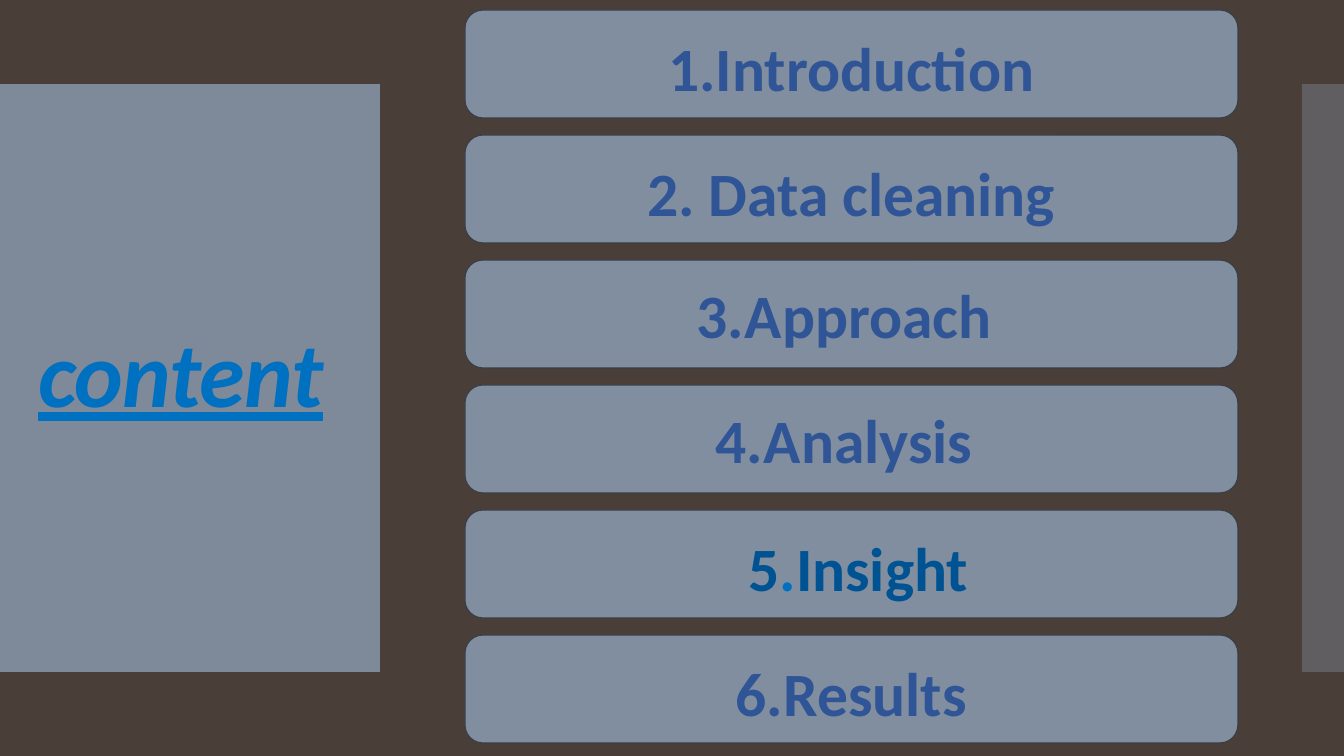
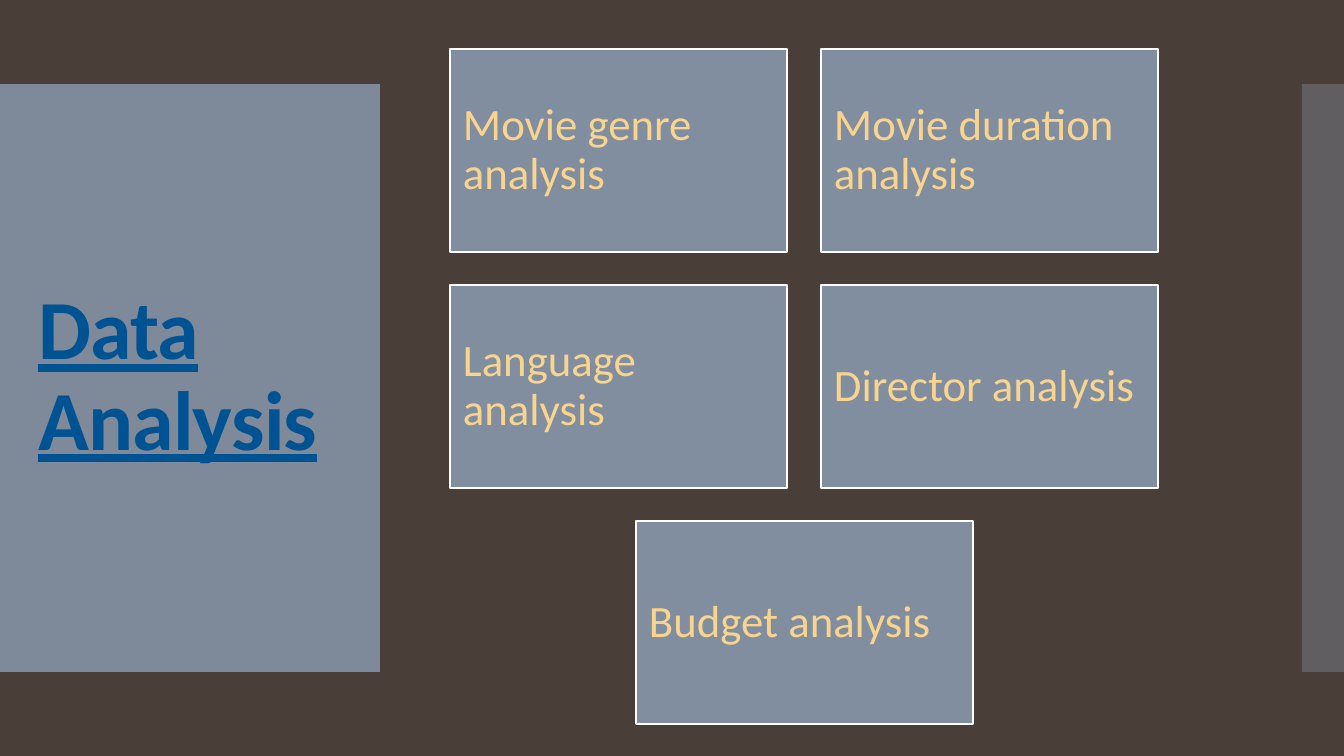
from lxml import etree
from pptx import Presentation
from pptx import util as u
from pptx.dml import color
from pptx.enum import shapes, text
from pptx.oxml import ns

# Palette
BROWN, SLATE, CHARCOAL, WHITE = "4A3F38", "818E9F", "393E46", "FFFFFF"
SKY, NAVY, INDIGO, SAND = "0070C0", "005392", "2F5597", "F8D48E"


def px(length):
    return u.Emu(round(length * 914400 / 100.8))


def rgb(value):
    return color.RGBColor.from_string(value)


class Deck:
    """Shared style and the slide being built."""

    bands = [((0, 84, 380, 588), 95), ((1302, 84, 42, 588), 40)]
    title_place = (28, 124, 325, 507)
    title_format = {"bold": True, "underline": True}
    item_format = {"size": u.Pt(44), "bold": True}
    tile_format = {"size": u.Pt(32), "bold": False}

    def __init__(self):
        self.prs = Presentation()
        self.prs.slide_width, self.prs.slide_height = px(1344), px(756)
        self.fill(self.prs.slide_master.background, BROWN)
        self.slide = None

    def fill(self, target, value):
        target.fill.solid()
        target.fill.fore_color.rgb = rgb(value)

    def add_runs(self, paragraph, runs, formats):
        """Add (text, colour) runs to a paragraph in one format."""
        for words, value in runs:
            run = paragraph.add_run()
            run.text = words
            run.font.name = "Calibri"
            run.font.color.rgb = rgb(value)
            for name, setting in formats.items():
                setattr(run.font, name, setting)

    def box(self, preset, place, line=None):
        shape = self.slide.shapes.add_shape(preset, *map(px, place))
        shape.shadow.inherit = False
        self.fill(shape, SLATE)
        if line:
            shape.line.color.rgb = rgb(line)
            shape.line.width = u.Pt(0.85)
        else:
            shape.line.fill.background()
        return shape

    def band(self, place, opacity):
        band = self.box(shapes.MSO_SHAPE.RECTANGLE, place)
        solid = band.element.spPr.find(ns.qn("a:solidFill"))
        etree.SubElement(solid[0], ns.qn("a:alpha"), val=str(opacity * 1000))

    def new_slide(self, heading, value, **formats):
        self.slide = self.prs.slides.add_slide(self.prs.slide_layouts[5])
        for place, opacity in self.bands:
            self.band(place, opacity)
        title = self.slide.shapes.title
        self.slide.shapes.element.append(title.element)  # above the bands
        title.left, title.top, title.width, title.height = map(px, self.title_place)
        frame = title.text_frame
        frame.auto_size = text.MSO_AUTO_SIZE.NONE
        frame.vertical_anchor = text.MSO_ANCHOR.MIDDLE
        paragraph = frame.paragraphs[0]
        paragraph.alignment = text.PP_ALIGN.LEFT
        paragraph.line_spacing = 0.9
        self.add_runs(paragraph, [(heading, value)], {**self.title_format, **formats})
        paragraph.runs[0]._r.get_or_add_rPr().set("spc", "-60")

    def item(self, place, runs, spaced=True, numbered=False):
        """Rounded agenda entry with centred text."""
        shape = self.box(shapes.MSO_SHAPE.ROUNDED_RECTANGLE, place, CHARCOAL)
        shape.text_frame.vertical_anchor = text.MSO_ANCHOR.MIDDLE
        paragraph = shape.text_frame.paragraphs[0]
        paragraph.alignment = text.PP_ALIGN.CENTER
        if spaced:
            paragraph.line_spacing = 1.07
            paragraph.space_after = u.Pt(8)
        if numbered:
            props = paragraph._p.get_or_add_pPr()
            props.set("marL", str(px(38)))
            props.set("indent", str(-px(38)))
            etree.SubElement(props, ns.qn("a:buAutoNum"), type="arabicPeriod")
        self.add_runs(paragraph, runs, self.item_format)

    def tile(self, place, words):
        """Square-cornered topic tile with text on the left."""
        shape = self.box(shapes.MSO_SHAPE.RECTANGLE, place, WHITE)
        frame = shape.text_frame
        frame.vertical_anchor = text.MSO_ANCHOR.MIDDLE
        for side in ("left", "top", "right", "bottom"):
            setattr(frame, f"margin_{side}", px(13))
        paragraph = frame.paragraphs[0]
        paragraph.alignment = text.PP_ALIGN.LEFT
        paragraph.line_spacing = 0.9
        self.add_runs(paragraph, [(words, SAND)], self.tile_format)


def agenda(deck):
    deck.new_slide("content", SKY, size=u.Pt(66), italic=True)
    entries = [
        ([("Introduction", INDIGO)], {"numbered": True}),
        ([("2. Data cleaning", INDIGO)], {}),
        ([("3.Approach ", INDIGO)], {"spaced": False}),
        ([("4.Analysis ", INDIGO)], {"spaced": False}),
        ([(" 5", NAVY), (".", SKY), ("Insight", NAVY)], {}),
        ([("6.Results", INDIGO)], {}),
    ]
    for row, (runs, options) in enumerate(entries):
        deck.item((465, 10 + 125 * row, 773, 108), runs, **options)


def topics(deck):
    deck.new_slide("Data Analysis", NAVY, size=u.Pt(60))
    names = ["Movie genre", "Movie duration", "Language", "Director", "Budget"]
    left, top, step_x, step_y = 450, 49, 371, 236
    for index, name in enumerate(names):
        row, column = divmod(index, 2)
        if index == len(names) - 1:
            column = 0.5  # the last tile is centred below the pairs
        place = (round(left + step_x * column), top + step_y * row, 337, 203)
        deck.tile(place, f"{name} analysis")


def main():
    deck = Deck()
    agenda(deck)
    topics(deck)
    deck.prs.save("out.pptx")


if __name__ == "__main__":
    main()
